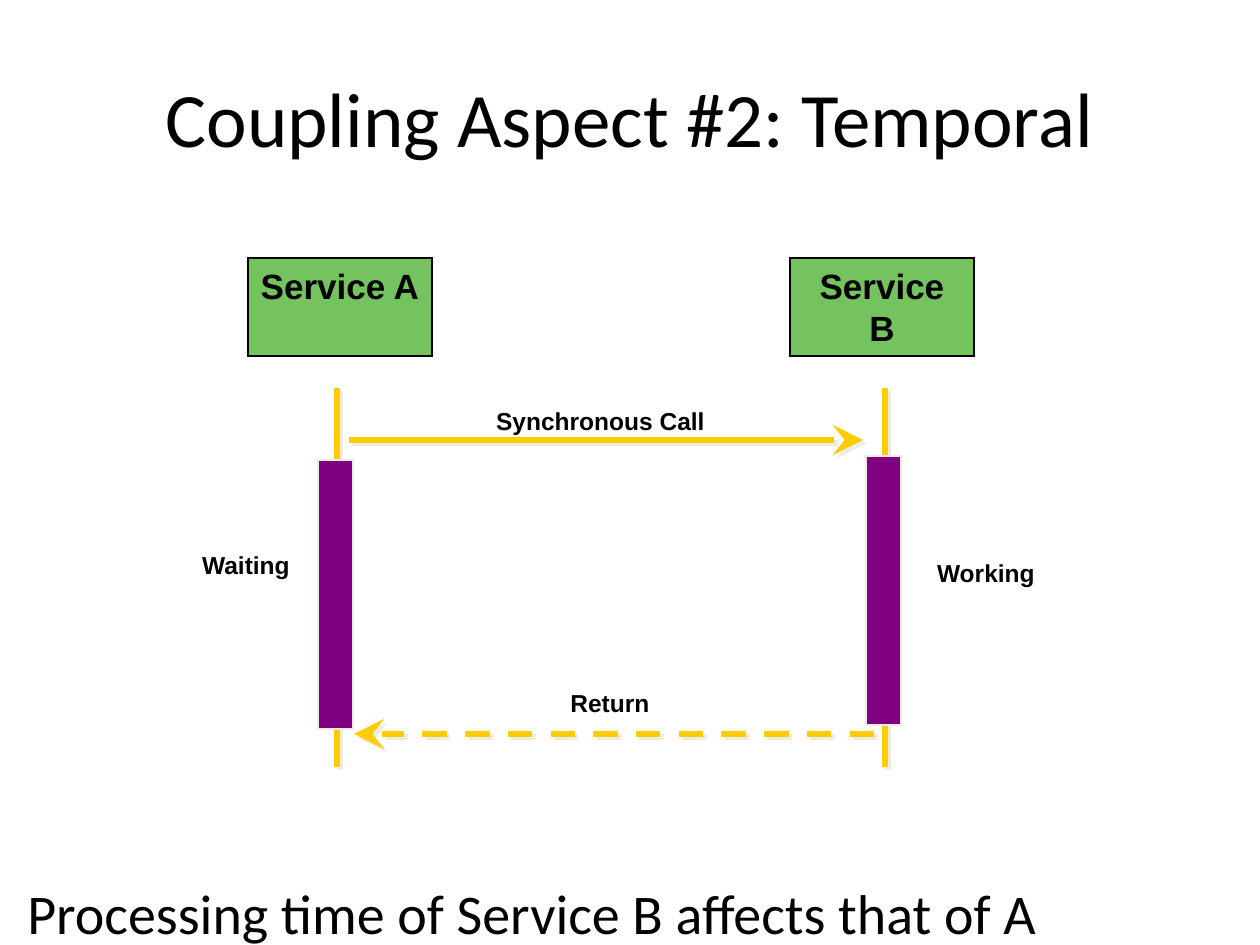
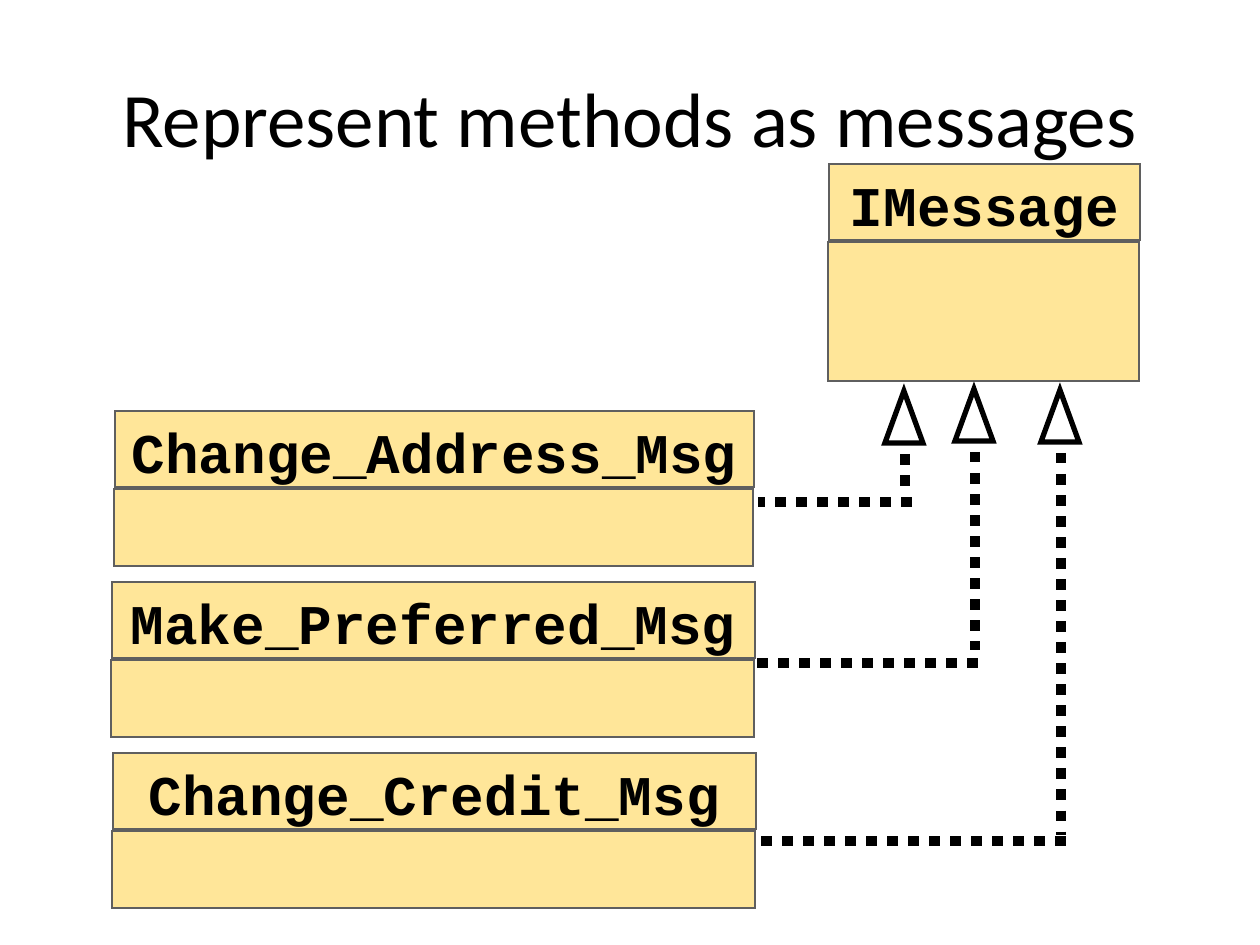
from dataclasses import dataclass

from lxml.etree import SubElement
from pptx import Presentation
from pptx.dml.color import RGBColor
from pptx.enum.dml import MSO_LINE
from pptx.enum.shapes import MSO_CONNECTOR, MSO_SHAPE
from pptx.enum.text import MSO_ANCHOR, PP_ALIGN
from pptx.oxml.ns import qn
from pptx.util import Pt


@dataclass(frozen=True)
class Theme:
    ink: str = "000000"
    green: str = "74C35F"
    gold: str = "FFCC00"
    purple: str = "800080"
    pale: str = "EEECE1"
    cream: str = "FFE699"
    gray: str = "5F5F5F"
    main: str = "Calibri"
    sans: str = "Arial"
    mono: str = "Courier New"
    title: int = 44
    body: int = 32
    name: int = 20
    label: int = 14


THEME = Theme()
WIDE, HIGH = 1260, 945


def px(num):
    return round(num * 914400 / 126)


def rgb(code):
    return RGBColor.from_string(code)


def write(shape, text, size, font=THEME.main, bold=False, align=PP_ALIGN.CENTER,
          anchor=MSO_ANCHOR.TOP, hang=0):
    frame = shape.text_frame
    frame.word_wrap = True
    frame.vertical_anchor = anchor
    para = frame.paragraphs[0]
    para.alignment = align
    if hang:
        props = para._p.get_or_add_pPr()
        props.set("marL", str(px(hang)))
        props.set("indent", str(-px(hang)))
    run = para.add_run()
    run.text = text
    run.font.size, run.font.name, run.font.bold = Pt(size), font, bold
    run.font.color.rgb = rgb(THEME.ink)


def note(slide, box, text, size, **form):
    write(slide.shapes.add_textbox(*map(px, box)), text, size, **form)


def label(slide, box, text):
    note(slide, box, text, THEME.label, font=THEME.sans, bold=True)


def block(shapes, box, fill, edge, width=0.75, kind=MSO_SHAPE.RECTANGLE):
    """Add a preset shape with sharp corners."""
    shape = shapes.add_shape(kind, *map(px, box))
    shape.shadow.inherit = False
    if fill:
        shape.fill.solid()
        shape.fill.fore_color.rgb = rgb(fill)
    else:
        shape.fill.background()
    shape.line.color.rgb = rgb(edge)
    shape.line.width = Pt(width)
    SubElement(shape._element.spPr.find(qn("a:ln")), qn("a:miter"), lim="800000")
    return shape


def stroke(slide, start, end, color, width, dash=None, arrow=False, shade=None):
    line = slide.shapes.add_connector(MSO_CONNECTOR.STRAIGHT, *map(px, start + end))
    line.line.color.rgb = rgb(color)
    line.line.width = Pt(width)
    if dash:
        line.line.dash_style = dash
    props = line._element.spPr
    if arrow:
        SubElement(props.find(qn("a:ln")), qn("a:tailEnd"),
                   type="stealth", w="lg", len="lg")
    effects = SubElement(props, qn("a:effectLst"))
    if shade:
        cast = SubElement(effects, qn("a:outerShdw"), dist=str(Pt(2.8)),
                          dir="2700000", algn="ctr", rotWithShape="0")
        SubElement(cast, qn("a:srgbClr"), val=shade)


def begin(deck, title):
    slide = deck.slides.add_slide(deck.slide_layouts[6])
    note(slide, (63, 38, 1134, 158), title, THEME.title, anchor=MSO_ANCHOR.MIDDLE)
    return slide


def sequence(slide, left, top):
    """Draw two services, their lifelines and the call between them."""
    def gold(start, end, **form):
        (x1, y1), (x2, y2) = start, end
        stroke(slide, (left + x1, top + y1), (left + x2, top + y2),
               THEME.gold, 3.5, shade=THEME.pale, **form)

    parts = (("Service A", 72, 161, 142, 202), ("Service B", 614, 709, 690, 198))
    for name, head, life, bar, start in parts:
        gold((life, 130), (life, 509))
        block(slide.shapes, (left + bar, top + start, 35, 269), THEME.purple, THEME.pale)
        box = block(slide.shapes, (left + head, top, 184, 98), THEME.green, THEME.ink)
        write(box, name, THEME.name, font=THEME.sans, bold=True)
    gold((173, 182), (687, 182), arrow=True)
    gold((698, 476), (178, 476), arrow=True, dash=MSO_LINE.DASH)
    for text, x, y, width in (("Synchronous Call", 294, 142, 261), ("Waiting", 0, 286, 140),
                              ("Working", 740, 294, 140), ("Return", 364, 424, 140)):
        label(slide, (left + x, top + y, width, 42), text)


def entity(slide, left, top, width, body, name):
    """Draw a class box: a named head above an empty body."""
    group = slide.shapes.add_group_shape().shapes
    head = block(group, (left, top, width, 76), THEME.cream, THEME.gray)
    block(group, (left - 1, top + 78, width, body), THEME.cream, THEME.gray)
    write(head, name, THEME.body, font=THEME.mono, bold=True)


def realize(slide, left, top, drop, foot, reach, end):
    """Draw a hollow tip with a dotted line down to drop, then across to end."""
    block(slide.shapes, (left, top, 38, 52), None, THEME.ink, 3,
          MSO_SHAPE.ISOSCELES_TRIANGLE)
    stem = left + 20
    for start, stop in (((stem, top + 63), (stem, drop)),
                        ((stem + reach, foot), (end, foot))):
        stroke(slide, start, stop, THEME.ink, 6, dash=MSO_LINE.ROUND_DOT)


def temporal(deck):
    slide = begin(deck, "Coupling Aspect #2: Temporal")
    note(slide, (15, 872, 1245, 73), "Processing time of Service B affects that of A",
         THEME.body, align=PP_ALIGN.LEFT, hang=48)
    sequence(slide, 176, 258)


def messages(deck):
    slide = begin(deck, "Represent methods as messages")
    entity(slide, 829, 164, 311, 139, "IMessage")
    for left, top, width, name in ((115, 411, 639, "Change_Address_Msg"),
                                   (112, 582, 643, "Make_Preferred_Msg"),
                                   (113, 753, 643, "Change_Credit_Msg")):
        entity(slide, left, top, width, 77, name)
    for route in ((885, 391, 494, 502, 7, 758), (955, 389, 650, 663, 3, 755),
                  (1041, 390, 835, 841, 5, 759)):
        realize(slide, *route)


def main():
    deck = Presentation()
    deck.slide_width, deck.slide_height = px(WIDE), px(HIGH)
    temporal(deck)
    messages(deck)
    deck.save("out.pptx")


if __name__ == "__main__":
    main()
